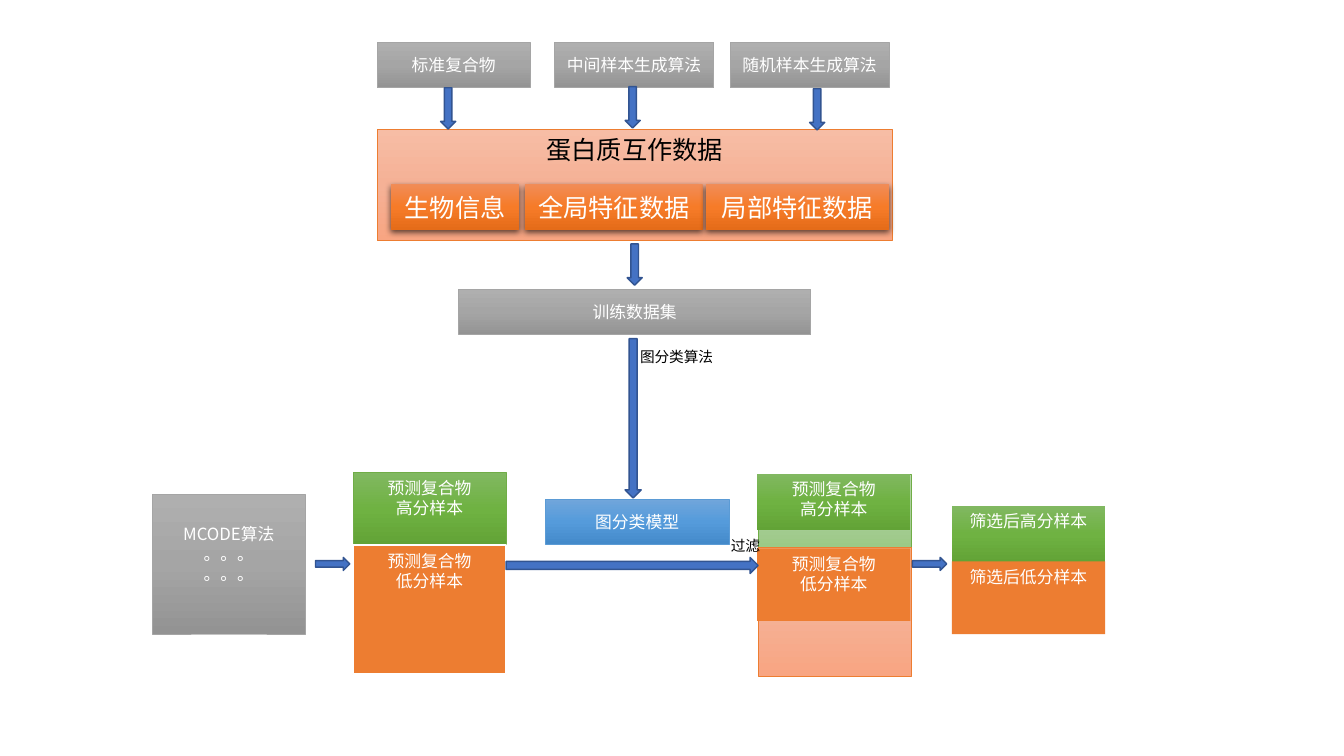
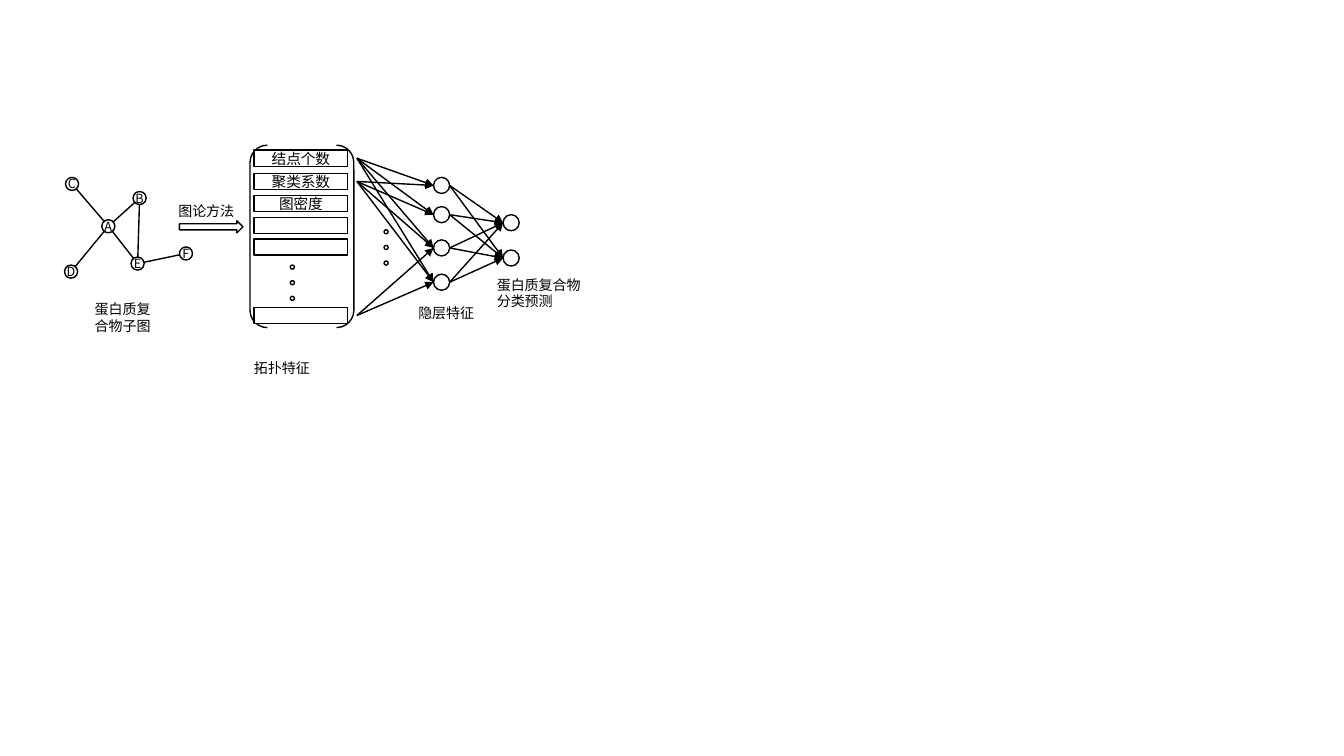
from copy import deepcopy
from itertools import product
from math import hypot
from lxml.etree import SubElement as Sub
from pptx import Presentation
from pptx.dml.color import RGBColor as RGB
from pptx.enum.shapes import MSO_CONNECTOR as CONN, MSO_SHAPE as SHAPE
from pptx.enum.text import MSO_ANCHOR as ANCHOR, PP_ALIGN as ALIGN
from pptx.oxml.ns import qn
from pptx.util import Inches, Pt

FONT = "Noto Sans CJK SC"
COLORS = {"black": "000000", "white": "FFFFFF", "orange": "ED7D31", "green": "70AD47",
          "gray": "A5A5A5", "blue": "5B9BD5", "arrow": "4472C4", "edge": "325491"}
FADES = {"gray": ("AFAFAF", "A5A5A5", "939393"), "peach": ("F7BDA5", "F5B196", "F8A582"),
         "rust": ("F18C57", "F67B28", "E56C19"), "green": ("81B861", "6FB242", "62A336"),
         "mint": ("B5D5A7", "AACE9A", "9CC987"), "blue": ("71A6DB", "559BDB", "448ACA")}

HIGH, LOW = "预测复合物\n高分样本", "预测复合物\n低分样本"
PANEL = ("蛋白质互作数据", 3.74, 1.28, 5.11, 1.11)
DATA = [("生物信息", 3.88, 1.27), ("全局特征数据", 5.21, 1.76), ("局部特征数据", 7, 1.82)]
STEPS = [("标准复合物", 3.74, 0.42, 1.52, "gray"), ("中间样本生成算法", 5.5, 0.42, 1.58, "gray"),
         ("随机样本生成算法", 7.24, 0.42, 1.58, "gray"), ("训练数据集", 4.55, 2.87, 3.49, "gray"),
         ("图分类模型", 5.41, 4.95, 1.82, "blue")]
MCODE = "MCODE算法\n。。。\n。。。"
STACKS = [(HIGH, 3.5, 4.69, 0.72, "green", "green", 0.5),
          (LOW, 3.5, 5.41, 1.28, "orange", "white", 1.5),
          ("", 7.52, 4.71, 0.72, "mint", "green", 0.5),
          ("", 7.52, 5.43, 1.28, "peach", "orange", 0.5),
          (HIGH, 7.51, 4.7, 0.56, "green", None, 0),
          (LOW, 7.51, 5.44, 0.72, "orange", None, 0),
          ("筛选后高分样本", 9.44, 5.02, 0.56, "green", None, 0),
          ("筛选后低分样本", 9.44, 5.57, 0.72, "orange", None, 0)]
DOWN = [(4.37, 0.87, 0.15, 0.41), (6.2, 0.86, 0.15, 0.41), (8.03, 0.88, 0.15, 0.41),
        (6.22, 2.42, 0.15, 0.41), (6.2, 3.36, 0.16, 1.58)]
RIGHT = [(5.02, 5.53, 2.5, 0.16), (3.13, 5.53, 0.34, 0.13), (9.05, 5.53, 0.34, 0.13)]
NOTES = [("图分类算法", 6.25, 3.4, 1.16, 0.29), ("过滤", 7.15, 5.28, 1.16, 0.29)]

NODES = {"A": (1.01, 2.18), "B": (1.32, 1.9), "C": (0.65, 1.76),
         "D": (0.64, 2.63), "E": (1.3, 2.55), "F": (1.78, 2.45)}
EDGES = ["CA", "EA", "BE", "DA", "BA", "FE"]
ROWS = [("结点个数", 1.49), ("聚类系数", 1.72), ("图密度", 1.94), ("", 2.16), ("", 2.37), ("", 3.05)]
HIDDEN = [1.76, 2.05, 2.38, 2.72]
OUT = [2.13, 2.48]
DOTS = [(2.88, 2.63), (3.81, 2.28)]
LABELS = [("图论方法", 1.67, 1.96, 0.78, 0.27), ("拓扑特征", 2.42, 3.52, 0.78, 0.27),
          ("隐层特征", 4.05, 2.97, 0.78, 0.27), ("蛋白质复合物子图", 0.84, 2.93, 0.78, 0.44),
          ("蛋白质复合物分类预测", 4.83, 2.69, 1.07, 0.44)]
NODE, UNIT, ROW, DOT = 0.13, 0.16, 0.16, 0.04


def color(name):
    return RGB.from_string(COLORS[name])


def write(shape, text, size=12, ink="white", align=ALIGN.CENTER, anchor=ANCHOR.MIDDLE,
          wrap=True, pad=(0.1, 0.05, 0.1, 0.05)):
    frame = shape.text_frame
    frame.text = text
    frame.word_wrap = wrap
    frame.vertical_anchor = anchor
    (frame.margin_left, frame.margin_top,
     frame.margin_right, frame.margin_bottom) = map(Inches, pad)
    for para in frame.paragraphs:
        para.alignment = align
        for run in para.runs:
            font = run.font
            font.size, font.name = Pt(size), FONT
            font.color.rgb = color(ink)
            Sub(font._element, qn("a:ea"), typeface=FONT)


def fade(fill, stops, props):
    fill.gradient()
    fill.gradient_angle = 270
    group = props.find(".//" + qn("a:gsLst"))
    group.insert(1, deepcopy(group[0]))
    for stop, place, tone in zip(fill.gradient_stops, (0, 0.5, 1), stops):
        stop.position = place
        stop.color.rgb = RGB.from_string(tone)


def draw(slide, kind, box, fill="white", line="black", width=1, glow=False):
    shape = slide.shapes.add_shape(kind, *map(Inches, box))
    shape.shadow.inherit = False
    props = shape._element.spPr
    if fill in FADES:
        fade(shape.fill, FADES[fill], props)
    else:
        shape.fill.solid()
        shape.fill.fore_color.rgb = color(fill)
    if line:
        shape.line.color.rgb = color(line)
        shape.line.width = Pt(width)
    else:
        shape.line.fill.background()
    if glow:
        cast = Sub(props.find(qn("a:effectLst")), qn("a:outerShdw"), blurRad=str(Pt(4.5)),
                   dist=str(Pt(1.5)), dir="5400000", algn="ctr", rotWithShape="0")
        tone = Sub(cast, qn("a:srgbClr"), val=COLORS["black"])
        Sub(tone, qn("a:alpha"), val="63000")
    return shape


def label(slide, text, *box, size):
    area = slide.shapes.add_textbox(*map(Inches, box))
    write(area, text, size=size, ink="black", align=ALIGN.LEFT, anchor=ANCHOR.TOP)


def link(slide, start, end, head=False):
    line = slide.shapes.add_connector(CONN.STRAIGHT, *map(Inches, (*start, *end)))
    line.line.color.rgb = color("black")
    line.line.width = Pt(1)
    if head:
        Sub(line.line._get_or_add_ln(), qn("a:tailEnd"), type="triangle")
    Sub(line._element.spPr, qn("a:effectLst"))


def flow(slide):
    text, *box = PANEL
    panel = draw(slide, SHAPE.RECTANGLE, box, "peach", "orange", 0.5)
    write(panel, text, size=18, ink="black", anchor=ANCHOR.TOP)
    for text, x, w in DATA:
        item = draw(slide, SHAPE.RECTANGLE, (x, 1.83, w, 0.45), "rust", None, glow=True)
        write(item, text, size=18)
    for text, x, y, w, tone in STEPS:
        write(draw(slide, SHAPE.RECTANGLE, (x, y, w, 0.45), tone, tone, 0.5), text)
    source = draw(slide, SHAPE.RECTANGLE, (1.51, 4.9, 1.52, 1.39), "gray", "gray", 0.5)
    write(source, MCODE, pad=(0.1, 0.05, 0.1, 0.25))
    for text, x, y, h, fill, line, width in STACKS:
        part = draw(slide, SHAPE.RECTANGLE, (x, y, 1.52, h), fill, line, width)
        if text:
            write(part, text, anchor=ANCHOR.TOP)
    for kind, boxes in ((SHAPE.DOWN_ARROW, DOWN), (SHAPE.RIGHT_ARROW, RIGHT)):
        for box in boxes:
            draw(slide, kind, box, "arrow", "edge")
    for note in NOTES:
        label(slide, *note, size=10.5)


def graph(slide):
    rad = NODE / 2
    for a, b in EDGES:
        (x1, y1), (x2, y2) = [(x + rad, y + rad) for x, y in (NODES[a], NODES[b])]
        gap = rad / hypot(x2 - x1, y2 - y1)
        dx, dy = (x2 - x1) * gap, (y2 - y1) * gap
        link(slide, (x1 + dx, y1 + dy), (x2 - dx, y2 - dy))
    for name, spot in NODES.items():
        node = draw(slide, SHAPE.OVAL, (*spot, NODE, NODE))
        write(node, name, size=9, ink="black", wrap=False, pad=(0, 0, 0, 0))


def network(slide):
    draw(slide, SHAPE.RIGHT_ARROW, (1.78, 2.19, 0.63, 0.12))
    draw(slide, SHAPE.DOUBLE_BRACKET, (2.48, 1.44, 1.03, 1.81))
    for text, y in ROWS:
        row = draw(slide, SHAPE.RECTANGLE, (2.52, y, 0.93, ROW))
        if text:
            write(row, text, size=10.5, ink="black", pad=(0, 0, 0, 0))
    for (x, y), step in product(DOTS, range(3)):
        draw(slide, SHAPE.OVAL, (x, y + step * 0.155, DOT, DOT))
    for x, layer in ((4.3, HIDDEN), (4.99, OUT)):
        for y in layer:
            draw(slide, SHAPE.OVAL, (x, y, UNIT, UNIT))
    first = [y for text, y in ROWS if text][:2]
    pairs = [*product(first, HIDDEN), *product([ROWS[-1][1]], HIDDEN[2:])]
    for x1, x2, ends in ((3.54, 4.3, pairs), (4.46, 4.99, product(HIDDEN, OUT))):
        for y1, y2 in ends:
            link(slide, (x1, y1 + UNIT / 2), (x2, y2 + UNIT / 2), head=True)
    for item in LABELS:
        label(slide, *item, size=10)
    graph(slide)


deck = Presentation()
deck.slide_width, deck.slide_height = Inches(13.33), Inches(7.5)
blank = deck.slide_layouts[6]
for build in (flow, network):
    build(deck.slides.add_slide(blank))
deck.save("out.pptx")
